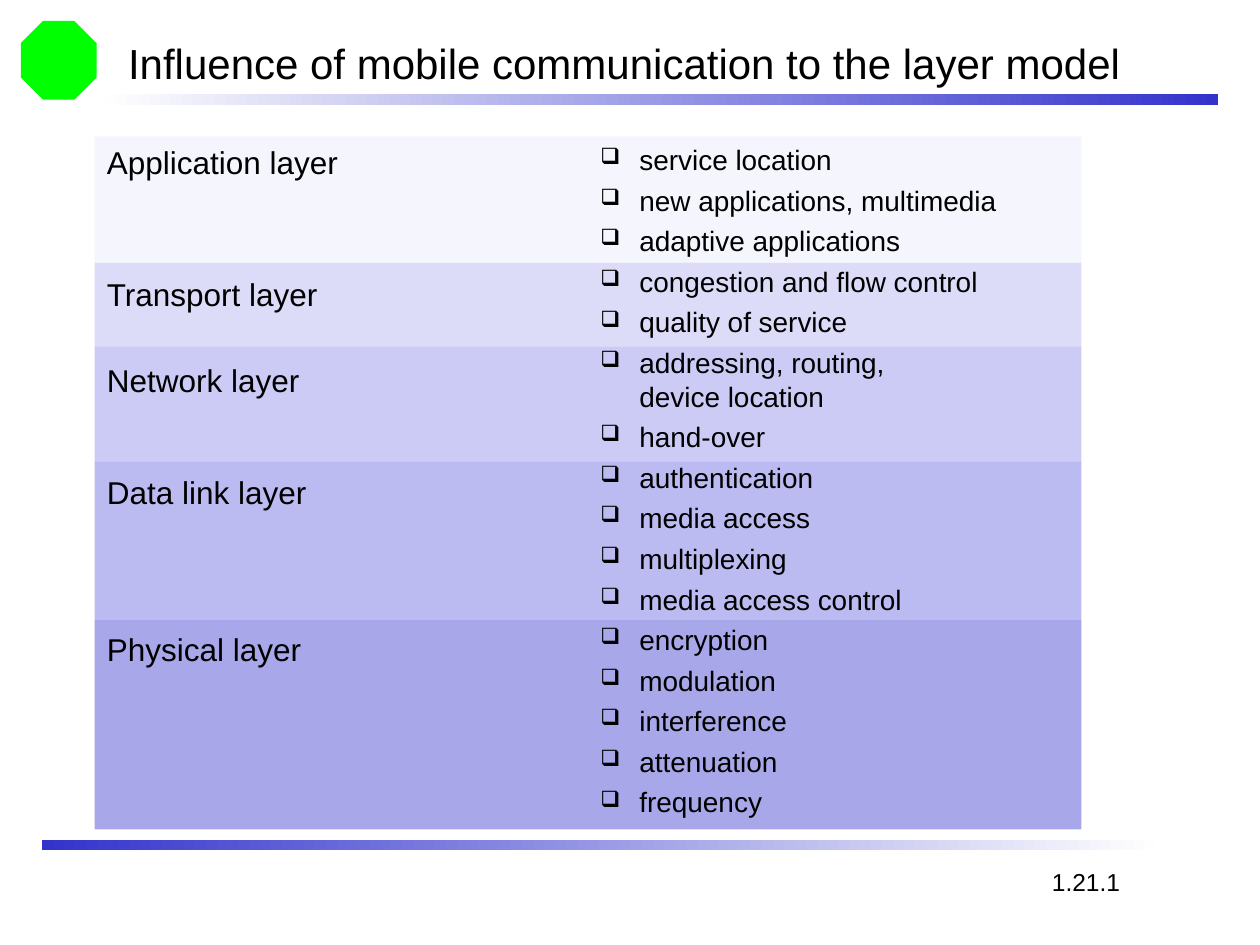
import pptx
import pptx.dml.color
import pptx.enum.shapes
import pptx.enum.text
import pptx.oxml
import pptx.oxml.ns
import pptx.util

COLORS = {"text": "000000", "emblem": "00FF00", "rule": "3333CC", "fade": "FEFEFE"}
ROW = 1 / 12  # inches; everything sits on a twelfth-of-an-inch grid

# layer, rows in its band, band colour, points above its name, its topics
LAYERS = [
    ("Application layer", 12, "F5F5FD", 0,
     ["service location", "new applications, multimedia", "adaptive applications"]),
    ("Transport layer", 8, "DCDCF8", 53.8,
     ["congestion and flow control", "quality of service"]),
    ("Network layer", 11, "CBCBF5", 27.7,
     ["addressing, routing,\vdevice location", "hand-over"]),
    ("Data link layer", 15, "BBBBF1", 42.2,
     ["authentication", "media access", "multiplexing", "media access control"]),
    ("Physical layer", 20, "A7A7E9", 68.3,
     ["encryption", "modulation", "interference", "attenuation", "frequency"]),
]


def grid(*cells):
    return [pptx.util.Inches(cell * ROW) for cell in cells]


def style(paragraph, size, space_before=0):
    paragraph.alignment = pptx.enum.text.PP_ALIGN.LEFT
    paragraph.space_before = pptx.util.Pt(space_before)
    paragraph.line_spacing = pptx.util.Pt(size * 1.2)
    paragraph.font.name = "Arial"
    paragraph.font.size = pptx.util.Pt(size)
    paragraph.font.color.rgb = pptx.dml.color.RGBColor.from_string(COLORS["text"])


deck = pptx.Presentation()
deck.slide_width, deck.slide_height = grid(120, 90)
slide = deck.slides.add_slide(deck.slide_layouts[5])
shapes = slide.shapes
kinds = pptx.enum.shapes.MSO_SHAPE

# Solid areas: the corner emblem, then one band per layer
areas = [(kinds.OCTAGON, grid(2, 2, 7.2, 7.5), COLORS["emblem"])]
band_top = 13
for name, rows, color, gap, topics in LAYERS:
    areas.append((kinds.RECTANGLE, grid(9, band_top, 94, rows), color))
    band_top += rows
for kind, place, color in areas:
    area = shapes.add_shape(kind, *place)
    area.shadow.inherit = False
    area.fill.solid()
    area.fill.fore_color.rgb = pptx.dml.color.RGBColor.from_string(color)
    area.line.fill.background()

# Fading rules under the title and above the page number
for left, top, ends in [(10, 9, ("fade", "rule")), (4, 80, ("rule", "fade"))]:
    rule = shapes.add_shape(kinds.RECTANGLE, *grid(left, top, 106, 1))
    rule.shadow.inherit = False
    rule.line.fill.background()
    rule.fill.gradient()
    rule.fill.gradient_angle = 0
    for stop, end in zip(rule.fill.gradient_stops, ends):
        stop.color.rgb = pptx.dml.color.RGBColor.from_string(COLORS[end])

title = shapes.title
title.left, title.top, title.width, title.height = grid(11, 3, 103, 6)
title.text_frame.text = "Influence of mobile communication to the layer model"
title.text_frame.vertical_anchor = pptx.enum.text.MSO_ANCHOR.MIDDLE
style(title.text_frame.paragraphs[0], 24)

layer_names = shapes.add_textbox(*grid(9, 13, 50, 67)).text_frame
layer_names.word_wrap = True
layer_names.text = "\n".join(layer[0] for layer in LAYERS)
for paragraph, layer in zip(layer_names.paragraphs, LAYERS):
    style(paragraph, 18, layer[3])

topic_list = shapes.add_textbox(*grid(50, 13, 61, 67)).text_frame
topic_list.word_wrap = True
topic_list.text = "\n".join(topic for layer in LAYERS for topic in layer[4])
for paragraph in topic_list.paragraphs:
    style(paragraph, 16, 4)
    properties = paragraph._p.get_or_add_pPr()
    properties.set("marL", str(pptx.util.Inches(0.81)))
    properties.set("indent", str(pptx.util.Inches(-0.31)))
    bullet_size = '<a:buSzPct %s val="80000"/>'
    bullet_mark = '<a:buChar %s char="❑"/>'
    # Bullet parts belong between the spacing and the default run properties
    for part in (bullet_size, bullet_mark):
        element = pptx.oxml.parse_xml(part % pptx.oxml.ns.nsdecls("a"))
        properties.find(pptx.oxml.ns.qn("a:defRPr")).addprevious(element)

page_number = shapes.add_textbox(*grid(99, 82, 9, 4)).text_frame
page_number.text = "1.21.1"
style(page_number.paragraphs[0], 14)

deck.save("out.pptx")
